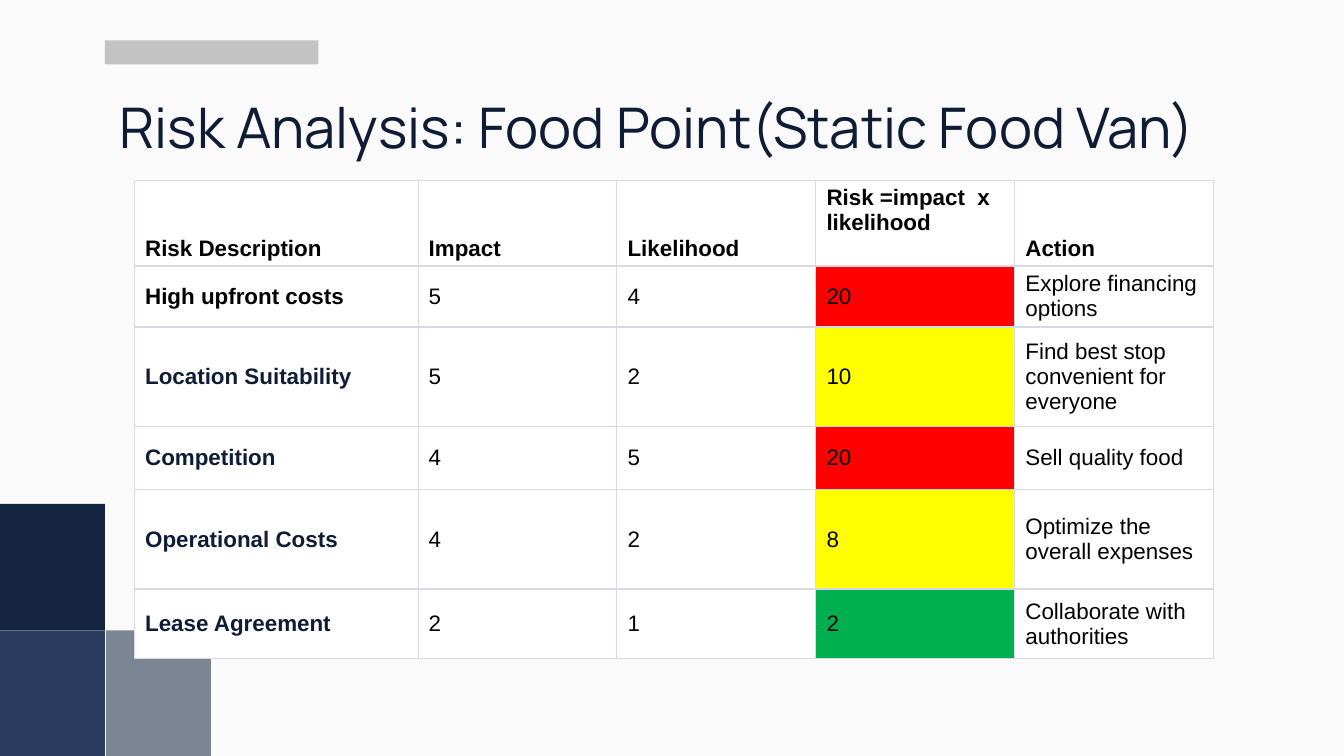
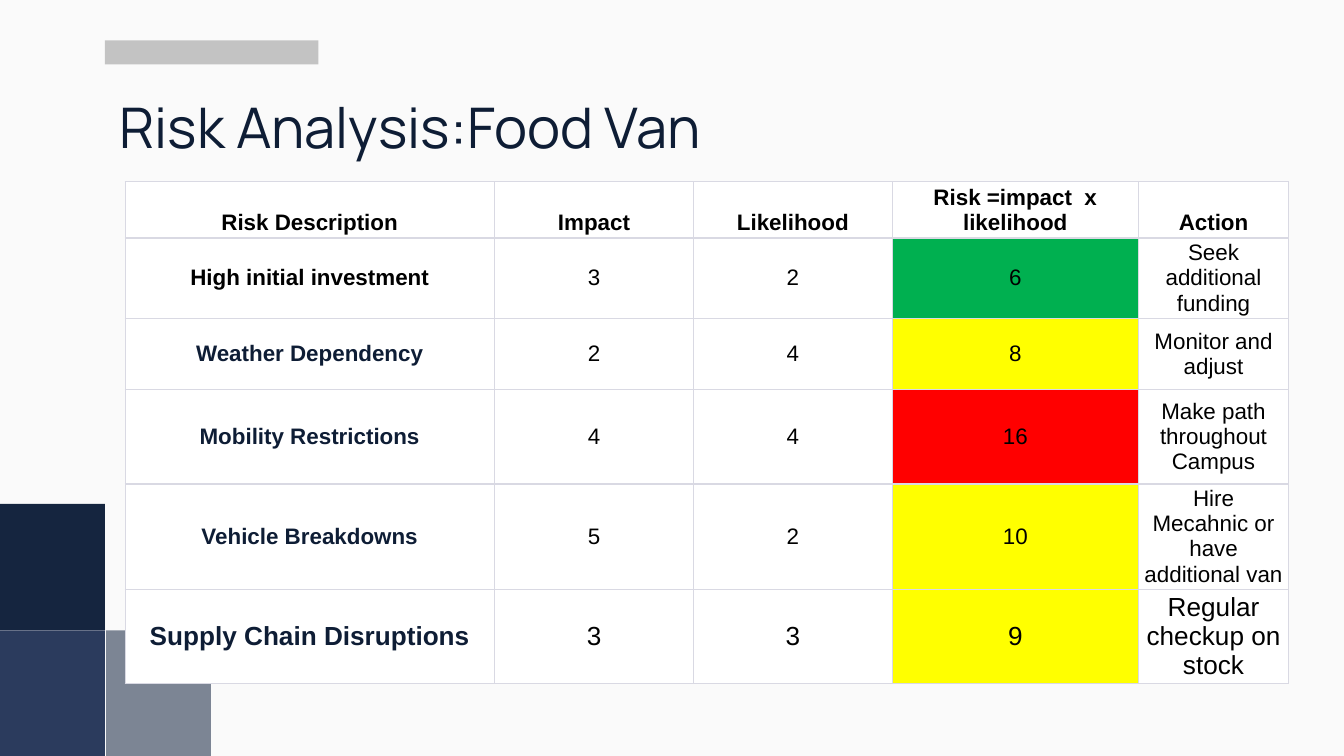
"""Build two risk analysis slides with scored tables."""
from dataclasses import dataclass

from lxml import etree
from pptx import Presentation
from pptx import util as u
from pptx.dml.color import RGBColor
from pptx.enum import shapes, text
from pptx.oxml import ns


@dataclass(frozen=True)
class Theme:
    background: str = "FAFAFA"
    ink: str = "0E1D35"
    black: str = "000000"
    white: str = "FFFFFF"
    border: str = "D9D9E3"
    accent: str = "C3C3C3"
    dark_block: str = "15253F"
    blue_block: str = "2B3B5D"
    grey_block: str = "7C8594"
    high: str = "FF0000"
    medium: str = "FFFF00"
    low: str = "00B050"
    title_font: str = "Manrope"
    body_font: str = "Arial"
    title_size: int = 30
    body_size: int = 12
    large_size: int = 14
    thin: float = 0.5
    thick: float = 1


@dataclass(frozen=True)
class TableLayout:
    left: float
    top: float
    columns: tuple
    rows: tuple
    margins: tuple
    alignment: text.PP_ALIGN
    last_row_size: int
    score_header_anchor: text.MSO_ANCHOR


HEADERS = ("Risk Description", "Impact", "Likelihood", "Risk =impact  x likelihood", "Action")
SCORE_COLUMN = 3


class Deck:
    """Hold the theme and the current slide."""

    def __init__(self, theme):
        self.theme = theme
        self.presentation = Presentation()
        self.presentation.slide_width = u.Inches(10)
        self.presentation.slide_height = u.Inches(10) * 9 // 16
        fill = self.presentation.slide_master.background.fill
        fill.solid()
        fill.fore_color.rgb = RGBColor.from_string(theme.background)
        self.slide = None

    def add_slide(self, title):
        self.slide = self.presentation.slides.add_slide(self.presentation.slide_layouts[5])
        theme = self.theme
        self.add_block(0.79, 4.69, 0.78, 0.94, theme.grey_block)
        self.add_block(0, 4.69, 0.78, 0.94, theme.blue_block)
        self.add_block(0, 3.75, 0.78, 0.94, theme.dark_block)
        self.add_block(0.78, 0.3, 1.59, 0.18, theme.accent)
        self.set_title(title)

    def add_block(self, left, top, width, height, color):
        block = self.slide.shapes.add_shape(
            shapes.MSO_SHAPE.RECTANGLE, *map(u.Inches, (left, top, width, height)))
        block.shadow.inherit = False
        block.fill.solid()
        block.fill.fore_color.rgb = RGBColor.from_string(color)
        block.line.fill.background()

    def set_title(self, title):
        shape = self.slide.shapes.title
        shape.left, shape.top, shape.width, shape.height = map(u.Inches, (0.79, 0.59, 8.88, 0.63))
        frame = shape.text_frame
        frame.word_wrap = True
        frame.auto_size = text.MSO_AUTO_SIZE.NONE
        frame.vertical_anchor = text.MSO_ANCHOR.TOP
        frame.margin_left = frame.margin_right = u.Inches(0.1)
        frame.margin_top = frame.margin_bottom = u.Inches(0.1)
        paragraph = frame.paragraphs[0]
        paragraph.alignment = text.PP_ALIGN.LEFT
        self.add_run(paragraph, title, self.theme.title_font, self.theme.title_size, self.theme.ink)

    def add_run(self, paragraph, content, font, size, color, bold=False):
        run = paragraph.add_run()
        run.text = content
        run.font.name = font
        run.font.size = u.Pt(size)
        run.font.bold = bold
        run.font.color.rgb = RGBColor.from_string(color)

    def score_color(self, score):
        if score >= 15:
            return self.theme.high
        return self.theme.medium if score >= 8 else self.theme.low

    def add_risk_table(self, layout, risks):
        theme = self.theme
        records = [HEADERS] + [
            (name, impact, likelihood, impact * likelihood, action)
            for name, impact, likelihood, action in risks]
        frame = self.slide.shapes.add_table(
            len(records), len(HEADERS), u.Inches(layout.left), u.Inches(layout.top),
            u.Inches(sum(layout.columns)), u.Inches(sum(layout.rows)))
        table = frame.table
        table.first_row = table.horz_banding = False
        for column, width in zip(table.columns, layout.columns):
            column.width = u.Inches(width)
        for row, height in zip(table.rows, layout.rows):
            row.height = u.Inches(height)
        last = len(records) - 1
        for i, record in enumerate(records):
            for j, value in enumerate(record):
                cell = table.cell(i, j)
                is_score = j == SCORE_COLUMN
                self.write_cell(
                    cell, str(value), layout,
                    size=layout.last_row_size if i == last else theme.body_size,
                    color=theme.ink if j == 0 and i > 1 else theme.black,
                    bold=i == 0 or j == 0,
                    fill=self.score_color(value) if is_score and i else theme.white)
                if i == 0:
                    cell.vertical_anchor = (
                        layout.score_header_anchor if is_score else text.MSO_ANCHOR.BOTTOM)
                self.set_borders(
                    cell,
                    theme.thin if i == 0 else theme.thick,
                    theme.thin if i == last else theme.thick)

    def write_cell(self, cell, content, layout, size, color, bold, fill):
        horizontal, vertical = map(u.Inches, layout.margins)
        cell.margin_left = cell.margin_right = horizontal
        cell.margin_top = cell.margin_bottom = vertical
        cell.vertical_anchor = text.MSO_ANCHOR.MIDDLE
        cell.fill.solid()
        cell.fill.fore_color.rgb = RGBColor.from_string(fill)
        paragraph = cell.text_frame.paragraphs[0]
        paragraph.alignment = layout.alignment
        self.add_run(paragraph, content, self.theme.body_font, size, color, bold)

    def set_borders(self, cell, top, bottom):
        thin = self.theme.thin
        properties = cell._tc.get_or_add_tcPr()
        sides = (("lnL", thin), ("lnR", thin), ("lnT", top), ("lnB", bottom))
        for index, (side, width) in enumerate(sides):
            line = etree.Element(ns.qn(f"a:{side}"), w=str(u.Pt(width)))
            fill = etree.SubElement(line, ns.qn("a:solidFill"))
            etree.SubElement(fill, ns.qn("a:srgbClr"), val=self.theme.border)
            properties.insert(index, line)


def main():
    theme = Theme()
    deck = Deck(theme)

    deck.add_slide("Risk Analysis: Food Point(Static Food Van)")
    deck.add_risk_table(
        TableLayout(
            left=1, top=1.34,
            columns=(2.11, 1.48, 1.48, 1.48, 1.48),
            rows=(0.64, 0.45, 0.74, 0.47, 0.74, 0.52),
            margins=(0.08, 0.04),
            alignment=text.PP_ALIGN.LEFT,
            last_row_size=theme.body_size,
            score_header_anchor=text.MSO_ANCHOR.TOP),
        (
            ("High upfront costs", 5, 4, "Explore financing options"),
            ("Location Suitability", 5, 2, "Find best stop convenient for everyone"),
            ("Competition", 4, 5, "Sell quality food"),
            ("Operational Costs", 4, 2, "Optimize the overall expenses"),
            ("Lease Agreement", 2, 1, "Collaborate with authorities"),
        ))

    deck.add_slide("Risk Analysis:Food Van")
    deck.add_risk_table(
        TableLayout(
            left=0.93, top=1.35,
            columns=(2.75, 1.48, 1.48, 1.83, 1.12),
            rows=(0.42, 0.6, 0.53, 0.7, 0.78, 0.7),
            margins=(0.04, 0.02),
            alignment=text.PP_ALIGN.CENTER,
            last_row_size=theme.large_size,
            score_header_anchor=text.MSO_ANCHOR.BOTTOM),
        (
            ("High initial investment", 3, 2, "Seek additional funding"),
            ("Weather Dependency", 2, 4, "Monitor and adjust"),
            ("Mobility Restrictions", 4, 4, "Make path throughout Campus"),
            ("Vehicle Breakdowns", 5, 2, "Hire Mecahnic or have additional van"),
            ("Supply Chain Disruptions", 3, 3, "Regular checkup on stock"),
        ))

    deck.presentation.save("out.pptx")


if __name__ == "__main__":
    main()
